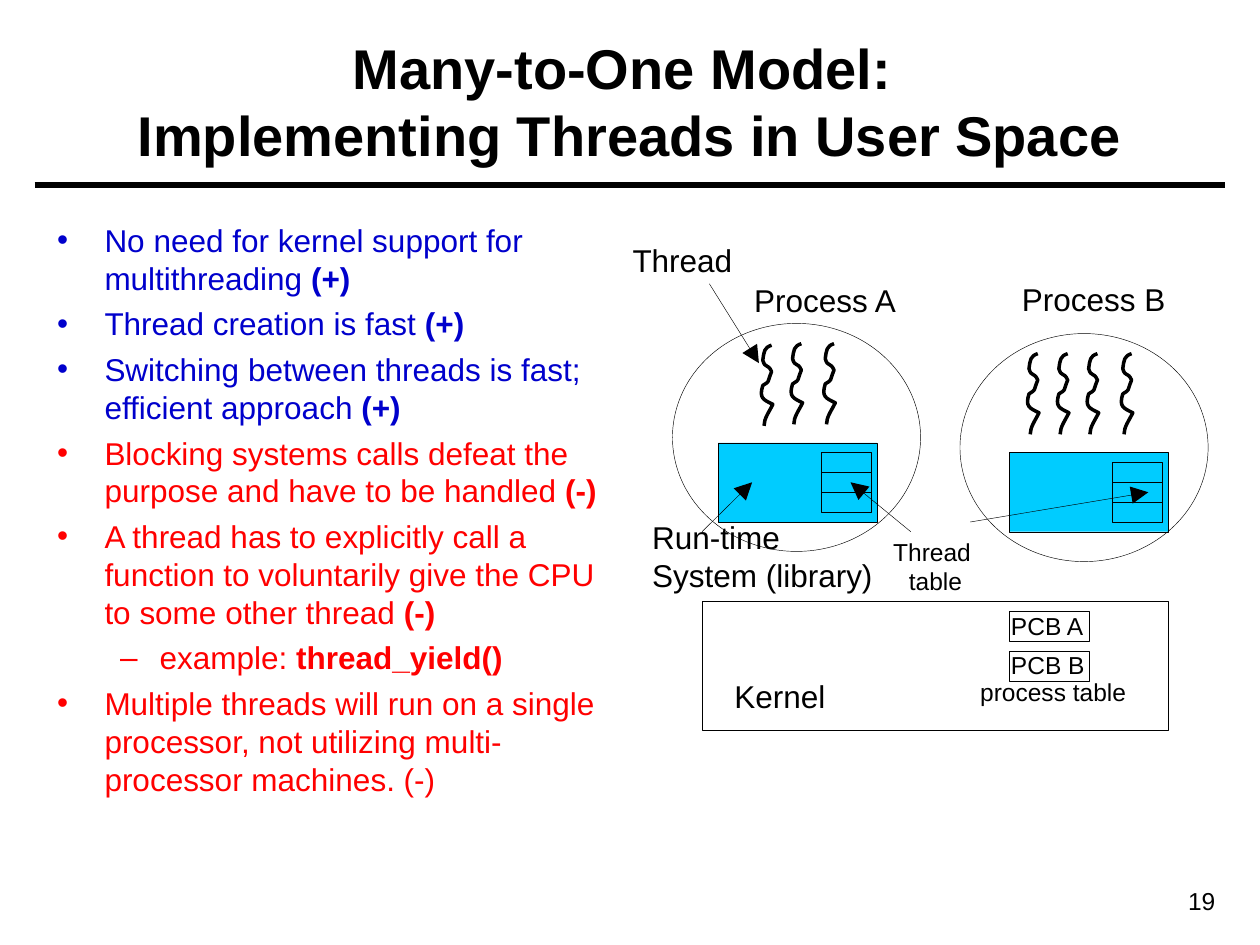
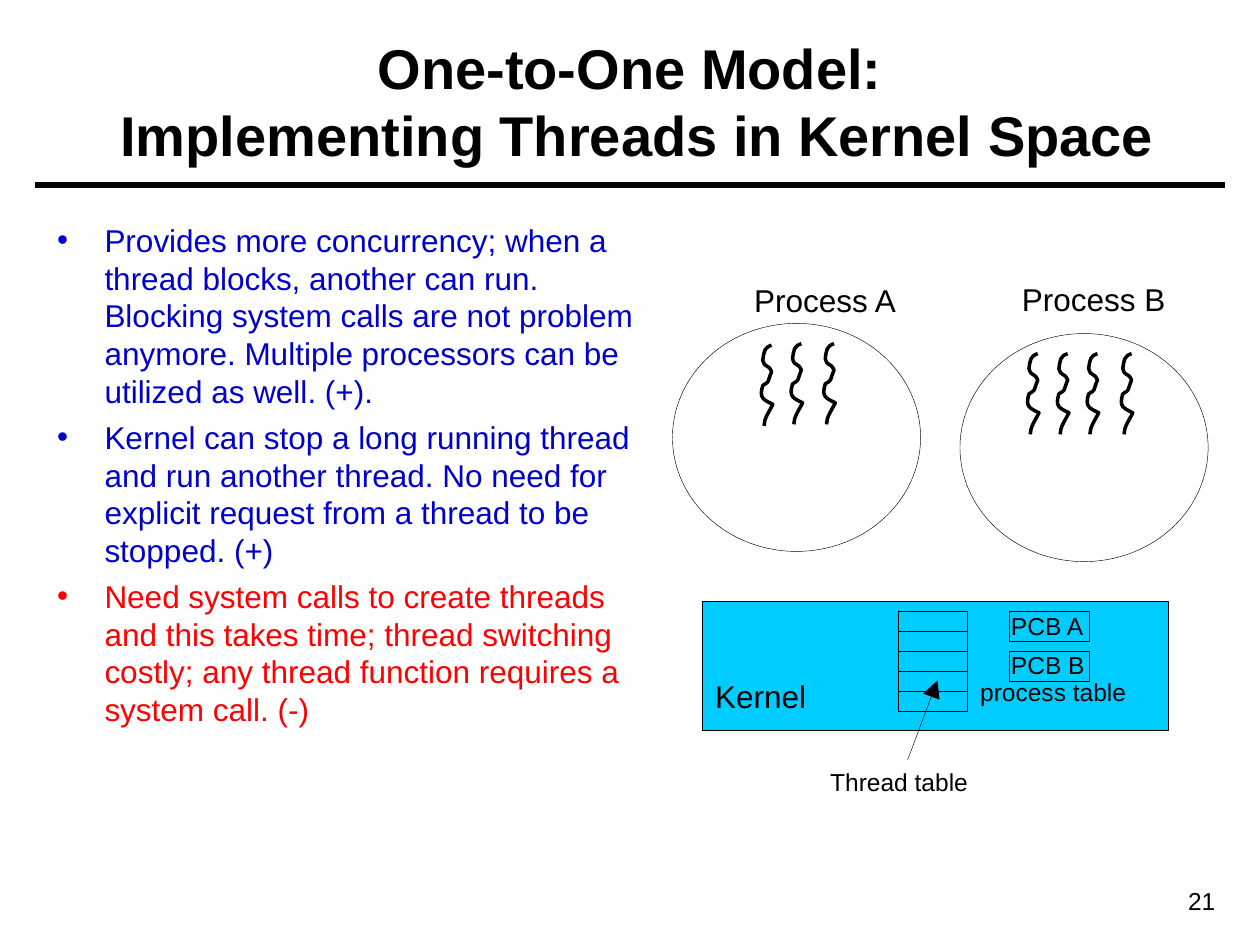
from pptx import Presentation
from pptx.dml.color import RGBColor
from pptx.enum.shapes import MSO_CONNECTOR, MSO_SHAPE
from pptx.enum.text import MSO_ANCHOR, MSO_AUTO_SIZE, PP_ALIGN
from pptx.oxml.ns import qn
from pptx.util import Pt
from lxml import etree

RECTANGLE, ELLIPSE = MSO_SHAPE.RECTANGLE, MSO_SHAPE.OVAL
STRAIGHT = MSO_CONNECTOR.STRAIGHT
MIDDLE = MSO_ANCHOR.MIDDLE
FIT_SHAPE, NO_FIT = MSO_AUTO_SIZE.SHAPE_TO_FIT_TEXT, MSO_AUTO_SIZE.NONE
LEFT, CENTER, RIGHT = PP_ALIGN.LEFT, PP_ALIGN.CENTER, PP_ALIGN.RIGHT

FONT = "Arial"
HEX = {"ink": "000000", "plus": "0000CC", "minus": "FF0000", "cyan": "00CCFF"}
COLORS = {name: RGBColor.from_string(value) for name, value in HEX.items()}
HAIRLINE = 0.25
CELL_HEIGHT = 11.4

# Wavy thread: start point, then cubic curves (two controls and an end each)
WAVE_START = (7.2, 0)
WAVE_CURVES = [
    (2.9, 1.4), (2.9, 3.6), (2.2, 8.6),
    (3.6, 13.7), (5, 10.1), (7.2, 15.1),
    (4.3, 22.3), (6.5, 20.2), (2.2, 23),
    (0, 30.2), (2.2, 31), (7.9, 33.8),
    (5.8, 38.2), (2.9, 41.8), (2.9, 46.1),
]

# Processes: name, ellipse corner, label corner, run-time corner, thread corners
PROCESSES = [
    ("Process A", (384.3, 184.8), (423.9, 157), (410.4, 253.1),
     [(433.7, 197.3), (450.7, 196.4), (469.4, 196.4)]),
    ("Process B", (548.6, 190.6), (576.9, 156.6), (576.7, 258.5),
     [(left, 202.1) for left in (585.8, 602.9, 619.9, 639.4)]),
]

# Points are (level, colour, text, bold ending);
# labels are (text, left, top, width, size, alignment)
PAGES = [
    {
        "number": "19",
        "title": "Many-to-One Model: \vImplementing Threads in User Space",
        "body_width": 328.3,
        "points": [
            (0, "plus", "No need for kernel support for multithreading ", "(+)"),
            (0, "plus", "Thread creation is fast ", "(+)"),
            (0, "plus", "Switching between threads is fast; efficient approach ", "(+)"),
            (0, "minus", "Blocking systems calls defeat the purpose and have to be handled ", "(-)"),
            (0, "minus", "A thread has to explicitly call a function to voluntarily "
                         "give the CPU to some other thread ", "(-)"),
            (1, "minus", "example: ", "thread_yield()"),
            (0, "minus", "Multiple threads will run on a single processor, "
                         "not utilizing multi-processor machines. (-)", ""),
        ],
        "threads_in_kernel": False,
        "labels": [
            ("Kernel", 412.5, 383.5, 66.6, 18, LEFT),
            ("Thread \ntable", 503.3, 303.1, 62.6, 14, CENTER),
            ("Run-time\nSystem (library)", 365.6, 292.6, 141, 18, LEFT),
            ("Thread", 354.4, 134.2, 71.6, 18, LEFT),
        ],
        "arrows": [
            (401.2, 303.8, 429.8, 275.6),
            (520.4, 303.8, 486, 275.6),
            (554.4, 298.3, 656.2, 281.3),
            (405.4, 162.2, 433.7, 207.5),
        ],
    },
    {
        "number": "21",
        "title": "One-to-One Model:\v Implementing Threads in Kernel Space",
        "body_width": 345.6,
        "points": [
            (0, "plus", "Provides more concurrency; when a thread blocks, another can run. "
                        "Blocking system calls are not problem anymore. "
                        "Multiple processors can be utilized as well. (+).", ""),
            (0, "plus", "Kernel can stop a long running thread and run another thread. "
                        "No need for explicit request from a thread to be stopped. (+)", ""),
            (0, "minus", "Need system calls to create threads and this takes time; "
                         "thread switching costly; any thread function requires "
                         "a system call. (-)", ""),
        ],
        "threads_in_kernel": True,
        "labels": [
            ("Kernel", 401.5, 383.5, 66.6, 18, LEFT),
            ("Thread table", 467.3, 434.5, 95, 14, LEFT),
        ],
        "arrows": [(518.7, 434.2, 535.7, 388.8)],
    },
]


def add_outlined(page, kind, left, top, width, height, fill=None):
    shape = page.shapes.add_shape(kind, Pt(left), Pt(top), Pt(width), Pt(height))
    shape.shadow.inherit = False
    shape.line.color.rgb = COLORS["ink"]
    shape.line.width = Pt(HAIRLINE)
    if fill:
        shape.fill.solid()
        shape.fill.fore_color.rgb = COLORS[fill]
    else:
        shape.fill.background()


def add_line(page, x1, y1, x2, y2, weight, arrow=False):
    line = page.shapes.add_connector(STRAIGHT, Pt(x1), Pt(y1), Pt(x2), Pt(y2))
    line.line.color.rgb = COLORS["ink"]
    line.line.width = Pt(weight)
    properties = line._element.spPr
    if arrow:
        etree.SubElement(properties.find(qn("a:ln")), qn("a:tailEnd"),
                         type="triangle", w="lg", len="lg")
    etree.SubElement(properties, qn("a:effectLst"))
    return line


deck = Presentation()
deck.slide_width, deck.slide_height = Pt(720), Pt(540)

for content in PAGES:
    page = deck.slides.add_slide(deck.slide_layouts[1])
    in_kernel = content["threads_in_kernel"]

    # Title
    title = page.shapes.title
    title.left, title.top, title.width, title.height = Pt(25.5), Pt(12.5), Pt(668.9), Pt(90)
    title.text_frame.text = content["title"]
    title.text_frame.vertical_anchor = MIDDLE
    title.text_frame.auto_size = NO_FIT
    para = title.text_frame.paragraphs[0]
    para.alignment = CENTER
    para.font.name, para.font.size, para.font.bold = FONT, Pt(32), True
    para.font.color.rgb = COLORS["ink"]

    # Advantages and drawbacks
    body = page.placeholders[1]
    body.left, body.top = Pt(25.5), Pt(122.6)
    body.width, body.height = Pt(content["body_width"]), Pt(368.6)
    frame = body.text_frame
    frame.auto_size = NO_FIT
    for index, (level, color, text, ending) in enumerate(content["points"]):
        para = frame.add_paragraph() if index else frame.paragraphs[0]
        para.level = level
        para.space_before = Pt(4.5)
        for words, bold in ((text, False), (ending, True)):
            if words:
                span = para.add_run()
                span.text = words
                span.font.name, span.font.size, span.font.bold = FONT, Pt(18), bold
                span.font.color.rgb = COLORS[color]

    # Kernel with its process table
    add_outlined(page, RECTANGLE, 401.3, 343.6, 266.4, 73.6, "cyan" if in_kernel else None)
    for top in (349.2, 372.2):
        add_outlined(page, RECTANGLE, 576.7, top, 45.6, 17.3)

    # Processes, with run-time systems when threads live in user space
    for _, (left, top), _, (box_left, box_top), threads in PROCESSES:
        add_outlined(page, ELLIPSE, left, top, 141.8, 130.3)
        if not in_kernel:
            add_outlined(page, RECTANGLE, box_left, box_top, 90.9, 45.4, "cyan")
            for row in range(3):
                add_outlined(page, RECTANGLE, box_left + 59, box_top + 5.6 + row * CELL_HEIGHT,
                             28.5, CELL_HEIGHT)
        for wave_left, wave_top in threads:
            builder = page.shapes.build_freeform(Pt(wave_left + WAVE_START[0]),
                                                 Pt(wave_top + WAVE_START[1]))
            builder.add_line_segments([(Pt(wave_left + x), Pt(wave_top + y))
                                       for x, y in WAVE_CURVES], close=False)
            wave = builder.convert_to_shape()
            wave.shadow.inherit = False
            wave.fill.background()
            wave.line.color.rgb = COLORS["ink"]
            wave.line.width = Pt(2)
            # Join every three segments into one cubic curve
            segments = list(wave._element.iter(qn("a:lnTo")))
            outline = segments[0].getparent()
            for first in range(0, len(segments), 3):
                curve = etree.SubElement(outline, qn("a:cubicBezTo"))
                for segment in segments[first:first + 3]:
                    curve.append(segment[0])
                    outline.remove(segment)

    # Thread table inside the kernel
    if in_kernel:
        for row in range(5):
            add_outlined(page, RECTANGLE, 513.4, 349.2 + row * CELL_HEIGHT, 39.6, CELL_HEIGHT)

    # Labels and page number
    labels = [(name, *corner, 96.5, 18, LEFT) for name, _, corner, _, _ in PROCESSES]
    labels += [
        ("PCB A", 570.6, 345.6, 58, 14, LEFT),
        ("PCB B", 570.6, 367.9, 58, 14, LEFT),
        ("process table", 553, 383.4, 98.5, 14, LEFT),
        (content["number"], 626.7, 502.6, 74.9, 14, RIGHT),
    ]
    for text, left, top, width, size, alignment in labels + content["labels"]:
        lines = text.split("\n")
        height = 7.2 + 1.2 * size * len(lines)
        box = page.shapes.add_textbox(Pt(left), Pt(top), Pt(width), Pt(height))
        box.text_frame.text = text
        box.text_frame.word_wrap = alignment == RIGHT
        box.text_frame.auto_size = FIT_SHAPE
        for para in box.text_frame.paragraphs:
            para.alignment = alignment
            para.font.name, para.font.size = FONT, Pt(size)
            para.font.color.rgb = COLORS["ink"]

    # Arrows from labels to parts
    for ends in content["arrows"]:
        add_line(page, *ends, HAIRLINE, arrow=True)

# Rule below the titles, moved to the master that both slides share
rule = add_line(page, 19.8, 105.7, 700.2, 105.7, 3)
deck.slide_master.shapes._spTree.append(rule._element)

deck.save("out.pptx")
